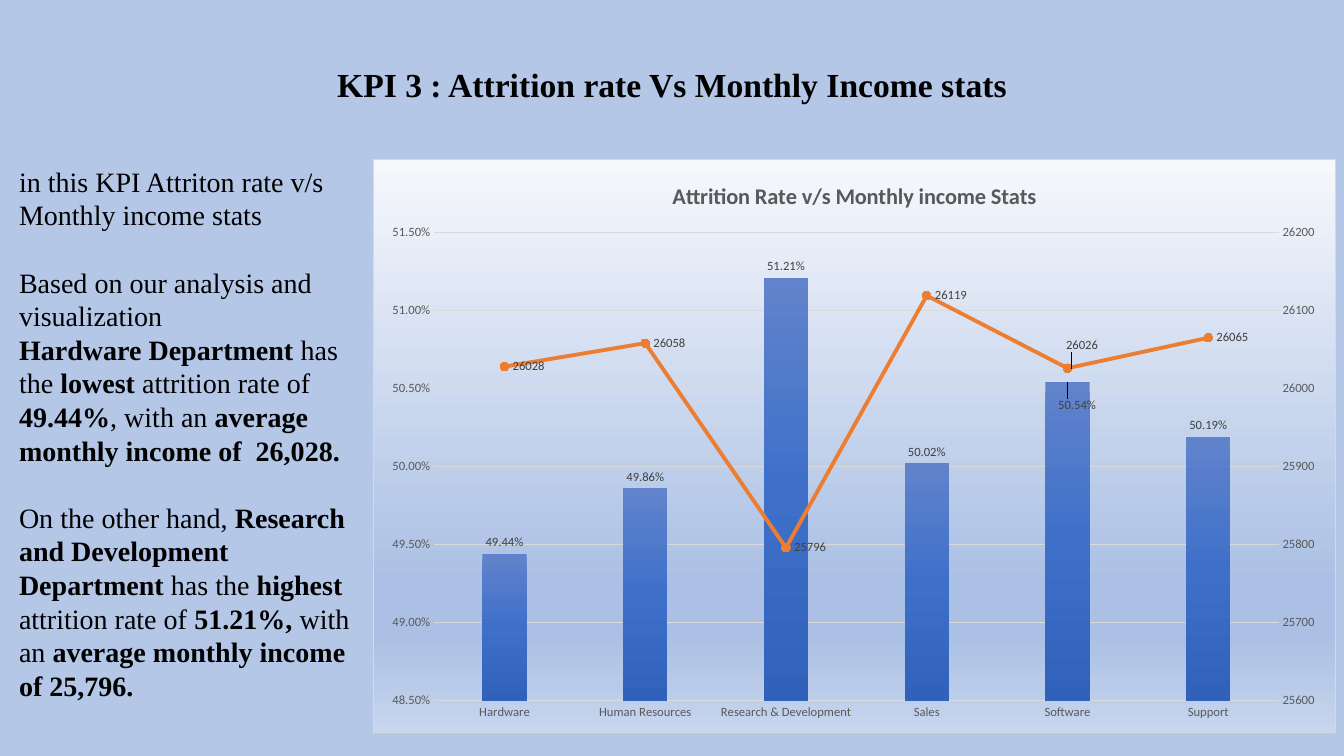
import copy

import pptx
import pptx.chart.axis
import pptx.chart.data
import pptx.dml.color
import pptx.enum.chart
import pptx.enum.text
import pptx.oxml
import pptx.oxml.ns
import pptx.util
from pptx.util import Inches, Pt

# Content
SERIF, SANS = "Times New Roman", "Calibri"
HEADING = "KPI 3 : Attrition rate Vs Monthly Income stats"
# Each paragraph: points of space before, then (text, bold) runs
ANALYSIS = [
    (0, [("in this KPI Attriton rate v/s Monthly income stats", False)]),
    (24, [("Based on our analysis and visualization", False)]),
    (0, [("Hardware Department", True), (" has the ", False), ("lowest ", True),
         ("attrition rate of ", False), ("49.44%", True), (", with an ", False),
         ("average monthly income of  26,028.", True)]),
    (24, [("On the other hand, ", False), ("Research and Development Department ", True),
          ("has the ", False), ("highest", True), (" attrition rate of ", False),
          ("51.21%, ", True), ("with an ", False),
          ("average monthly income of 25,796.", True)]),
]
CHART_TITLE = "Attrition Rate v/s Monthly income Stats"
DEPARTMENTS = ["Hardware", "Human Resources", "Research & Development",
               "Sales", "Software", "Support"]
ATTRITION = [0.4944, 0.4986, 0.5121, 0.5002, 0.5054, 0.5019]
INCOME = [26028, 26058, 25796, 26119, 26026, 26065]
SOFTWARE = DEPARTMENTS.index("Software")

BACKGROUND, GRID, AXIS_TEXT, LABEL_TEXT = "B4C7E7", "D9D9D9", "595959", "404040"
INCOME_LINE, INCOME_MARKER = "ED7D31", "F67B28"
AREA_STOPS = [(0, "F6F8FC"), (74, "ABC0E4"), (83, "ABC0E4"), (100, "C7D5ED")]
BAR_STOPS = [(0, "6183CB"), (50, "3E70CA"), (100, "3062BB")]
NAMESPACES = pptx.oxml.ns.nsdecls("a", "c")


def rgb(value):
    return pptx.dml.color.RGBColor.from_string(value)


def style(font, size, color, face=SANS, bold=False):
    font.size, font.name, font.bold = Pt(size), face, bold
    font.color.rgb = rgb(color)


def write(paragraph, text, **fmt):
    run = paragraph.add_run()
    run.text = text
    style(run.font, **fmt)


def outline(line, color, width):
    line.color.rgb = rgb(color)
    line.width = Pt(width)


def gradient(stops):
    marks = "".join(f'<a:gs pos="{at * 1000}"><a:srgbClr val="{color}"/></a:gs>'
                    for at, color in stops)
    return (f'<a:gradFill {NAMESPACES} rotWithShape="1"><a:gsLst>{marks}</a:gsLst>'
            '<a:lin ang="5400000" scaled="0"/></a:gradFill>')


def layout(x, y, extra=""):
    return pptx.oxml.parse_xml(
        f'<c:layout {NAMESPACES}><c:manualLayout>{extra}'
        f'<c:x val="{x}"/><c:y val="{y}"/></c:manualLayout></c:layout>')


def scale(axis, low, high, step, number_format):
    axis.minimum_scale, axis.maximum_scale, axis.major_unit = low, high, step
    axis.tick_labels.number_format = number_format
    axis.tick_labels.number_format_is_linked = False


def label_values(series, number_format, position, software_shift):
    labels = series.data_labels
    labels.show_value = True
    labels.number_format = number_format
    labels.number_format_is_linked = False
    labels.position = position
    style(labels.font, 9, LABEL_TEXT)
    # The Software label is moved so that bar and line labels stay apart
    group = series._element.find(pptx.oxml.ns.qn("c:dLbls"))
    moved = pptx.oxml.parse_xml(f'<c:dLbl {NAMESPACES}><c:idx val="{SOFTWARE}"/></c:dLbl>')
    moved.append(layout(*software_shift))
    for part in group:
        if part.tag != pptx.oxml.ns.qn("c:showLeaderLines"):
            moved.append(copy.deepcopy(part))
    group.insert(0, moved)


def add_textbox(left, top, width, height, anchor):
    frame = slide.shapes.add_textbox(
        Inches(left), Inches(top), Inches(width), Inches(height)).text_frame
    frame.word_wrap = True
    frame.vertical_anchor = anchor
    return frame


# Slide
deck = pptx.Presentation()
deck.slide_width, deck.slide_height = Inches(13.33), Inches(7.5)
slide = deck.slides.add_slide(deck.slide_layouts[6])
slide.background.fill.solid()
slide.background.fill.fore_color.rgb = rgb(BACKGROUND)

# Heading
heading = add_textbox(0.08, 0.15, 13.17, 1.42, pptx.enum.text.MSO_ANCHOR.MIDDLE).paragraphs[0]
heading.alignment = pptx.enum.text.PP_ALIGN.CENTER
heading.line_spacing = 0.9
write(heading, HEADING, size=24, color="000000", face=SERIF, bold=True)

# Chart with attrition bars
data = pptx.chart.data.CategoryChartData()
data.categories = DEPARTMENTS
data.add_series("Series 1", ATTRITION, "0.00%")
data.add_series("Series 2", INCOME, "0")
chart = slide.shapes.add_chart(
    pptx.enum.chart.XL_CHART_TYPE.COLUMN_CLUSTERED,
    Inches(3.7), Inches(1.58), Inches(9.55), Inches(5.69), data).chart
chart.has_legend = False
style(chart.font, 10, "000000")
chart.has_title = True
write(chart.chart_title.text_frame.paragraphs[0], CHART_TITLE,
      size=16, color=AXIS_TEXT, bold=True)
chart.chart_title.include_in_layout = False

# Left and bottom axes
for axis in (chart.category_axis, chart.value_axis):
    axis.major_tick_mark = axis.minor_tick_mark = pptx.enum.chart.XL_TICK_MARK.NONE
    style(axis.tick_labels.font, 9, AXIS_TEXT)
outline(chart.category_axis.format.line, GRID, 1)
attrition_axis = chart.value_axis
attrition_axis.format.line.fill.background()
attrition_axis.has_major_gridlines = True
outline(attrition_axis.major_gridlines.format.line, GRID, 0.75)
scale(attrition_axis, 0.485, 0.515, 0.005, "0.00%")

# Income series becomes a line on its own axes
plot_area = chart._chartSpace.xpath("c:chart/c:plotArea")[0]
bars = plot_area.xpath("c:barChart")[0]
income_element = bars.xpath("c:ser")[1]
for unused in income_element.xpath("c:invertIfNegative"):
    income_element.remove(unused)
income_plot = pptx.oxml.parse_xml(
    f'<c:lineChart {NAMESPACES}><c:grouping val="standard"/><c:varyColors val="0"/>'
    '<c:marker val="1"/><c:axId val="5001"/><c:axId val="5002"/></c:lineChart>')
income_plot.insert(2, income_element)
bars.addnext(income_plot)

income_value = copy.deepcopy(plot_area.xpath("c:valAx")[0])
income_category = copy.deepcopy(plot_area.xpath("c:catAx")[0])
plot_area.xpath("c:valAx")[0].addnext(income_value)
income_value.addnext(income_category)
for element, own, other in ((income_category, "5001", "5002"), (income_value, "5002", "5001")):
    element.xpath("c:axId")[0].set("val", own)
    element.xpath("c:crossAx")[0].set("val", other)
income_value.xpath("c:axPos")[0].set("val", "r")
income_value.xpath("c:crosses")[0].set("val", "max")
pptx.chart.axis.CategoryAxis(income_category).visible = False
income_axis = pptx.chart.axis.ValueAxis(income_value)
income_axis.has_major_gridlines = False
scale(income_axis, 25600, 26200, 100, "0")

# Series looks
bar_plot, line_plot = chart.plots
bar_plot.gap_width, bar_plot.overlap = 219, -27
bar_plot.vary_by_categories = False
attrition, income = bar_plot.series[0], line_plot.series[0]
attrition.format.fill.background()
bar_fill = attrition._element.xpath("c:spPr/a:noFill")[0]
bar_fill.getparent().replace(bar_fill, pptx.oxml.parse_xml(gradient(BAR_STOPS)))
outline(income.format.line, INCOME_LINE, 2.75)
income.smooth = False
income.marker.style = pptx.enum.chart.XL_MARKER_STYLE.CIRCLE
income.marker.size = 6
income.marker.format.fill.solid()
income.marker.format.fill.fore_color.rgb = rgb(INCOME_MARKER)
outline(income.marker.format.line, INCOME_MARKER, 0.75)
position = pptx.enum.chart.XL_LABEL_POSITION
label_values(attrition, "0.00%", position.OUTSIDE_END, (0.01, 0.06))
label_values(income, "0", position.RIGHT, (-0.01, -0.04))

# Plot position and chart background
for automatic in plot_area.xpath("c:layout"):
    plot_area.remove(automatic)
inner = layout(0.063, 0.127, '<c:layoutTarget val="inner"/>'
               '<c:xMode val="edge"/><c:yMode val="edge"/>')
for tag, size in (("w", 0.878), ("h", 0.818)):
    inner[0].append(pptx.oxml.parse_xml(f'<c:{tag} {NAMESPACES} val="{size}"/>'))
plot_area.insert(0, inner)
chart._chartSpace.xpath("c:chart")[0].addnext(pptx.oxml.parse_xml(
    f'<c:spPr {NAMESPACES}>{gradient(AREA_STOPS)}<a:ln w="9525"><a:solidFill>'
    f'<a:srgbClr val="{GRID}"/></a:solidFill></a:ln></c:spPr>'))

# Analysis text
analysis = add_textbox(0.09, 1.58, 3.61, 5.49, pptx.enum.text.MSO_ANCHOR.TOP)
for number, (gap, runs) in enumerate(ANALYSIS):
    paragraph = analysis.add_paragraph() if number else analysis.paragraphs[0]
    paragraph.space_before = Pt(gap)
    for text, bold in runs:
        write(paragraph, text, size=20, color="000000", face=SERIF, bold=bold)

deck.save("out.pptx")
